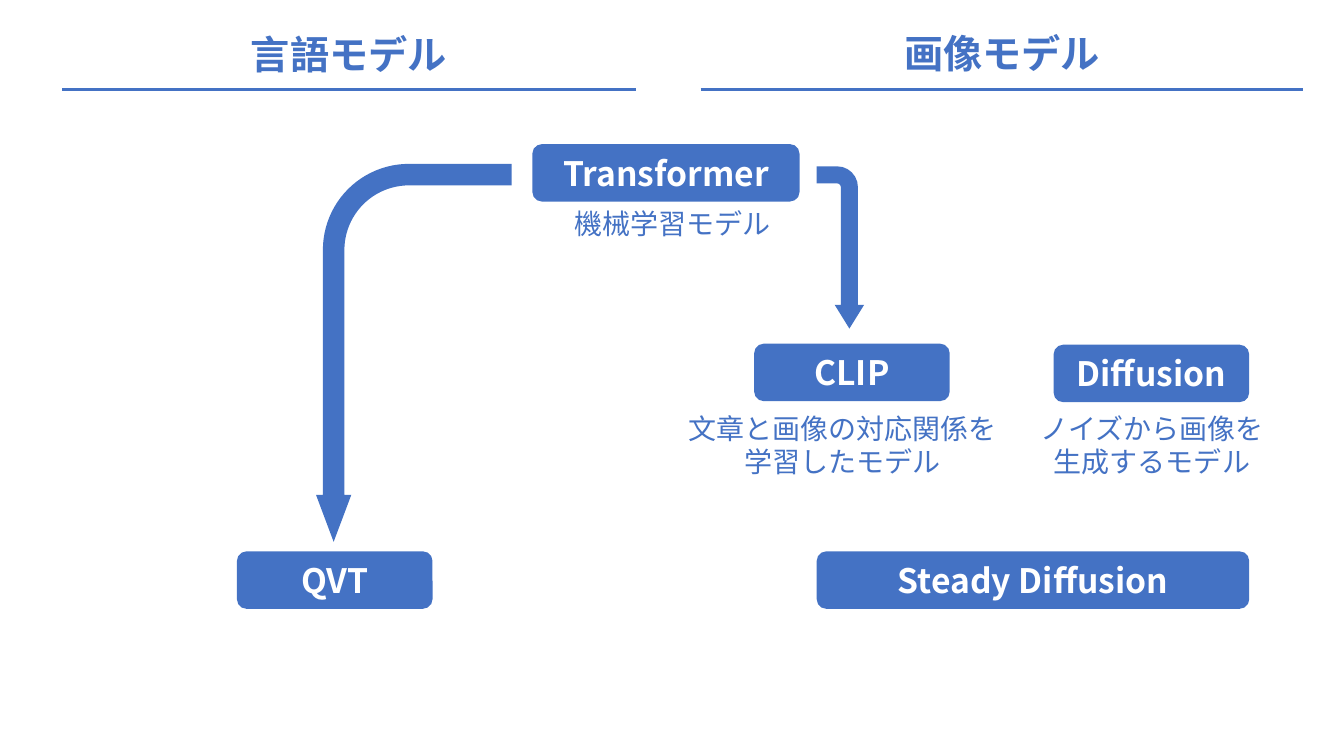
"""Build a slide relating language models and image models."""
from dataclasses import dataclass

from lxml.etree import SubElement
from pptx import Presentation
from pptx.dml.color import RGBColor
from pptx.enum.shapes import MSO_CONNECTOR, MSO_SHAPE
from pptx.enum.text import MSO_ANCHOR, MSO_AUTO_SIZE, PP_ALIGN
from pptx.oxml.ns import qn
from pptx.shapes.autoshape import Shape
from pptx.slide import Slide
from pptx.text.text import TextFrame
from pptx.util import Inches, Pt


@dataclass(frozen=True)
class Theme:
    font: str = "Noto Sans CJK JP"
    blue: RGBColor = RGBColor(0x44, 0x72, 0xC4)
    white: RGBColor = RGBColor(0xFF, 0xFF, 0xFF)
    heading: int = 28
    model: int = 24
    caption: int = 20
    rule: float = 2.25


@dataclass(frozen=True)
class Box:
    left: float
    top: float
    width: float
    height: float


@dataclass(frozen=True)
class Label:
    text: str
    box: Box


@dataclass(frozen=True)
class Rule:
    left: float
    right: float


@dataclass(frozen=True)
class Arrow:
    box: Box
    adjustments: tuple[float, ...]
    flipped: bool


THEME = Theme()
RULE_Y = 0.89
MODEL_H = 0.57
MODEL_W = 1.94

HEADINGS = (
    Label("言語モデル", Box(0.97, 0.25, 4.98, 0.57)),
    Label("画像モデル", Box(7.45, 0.24, 4.98, 0.57)),
)
RULES = (Rule(0.62, 6.31), Rule(6.95, 12.92))
MODELS = (
    Label("Transformer", Box(5.28, 1.43, 2.65, MODEL_H)),
    Label("CLIP", Box(7.48, 3.41, MODEL_W, MODEL_H)),
    Label("Diffusion", Box(10.45, 3.42, MODEL_W, MODEL_H)),
    Label("QVT", Box(2.35, 5.47, MODEL_W, MODEL_H)),
    Label("Steady Diffusion", Box(8.1, 5.47, 4.29, MODEL_H)),
)
CAPTIONS = (
    Label("機械学習モデル", Box(4.18, 2, 4.98, 0.44)),
    Label("文章と画像の対応関係を\n学習したモデル", Box(6.72, 4.03, 3.27, 0.77)),
    Label("ノイズから画像を\n生成するモデル", Box(10.17, 4.03, 2.51, 0.77)),
)
ARROWS = (
    Arrow(Box(2.23, 2.53, 3.75, 1.94), (0.11, 0.09, 0.24, 0.44), True),
    Arrow(Box(7.53, 2.22, 1.61, 0.47), (0.36, 0.31, 0.5, 0.44), False),
)


def place(box: Box) -> tuple[Inches, Inches, Inches, Inches]:
    """Convert a box to slide lengths."""
    return Inches(box.left), Inches(box.top), Inches(box.width), Inches(box.height)


def write(tf: TextFrame, text: str, size: int, color: RGBColor, bold: bool) -> None:
    """Write centred lines, one paragraph each."""
    tf.word_wrap = True
    for i, line in enumerate(text.split("\n")):
        p = tf.add_paragraph() if i else tf.paragraphs[0]
        p.alignment = PP_ALIGN.CENTER
        r = p.add_run()
        r.text = line
        r.font.name = THEME.font
        r.font.size = Pt(size)
        r.font.bold = bold
        r.font.color.rgb = color
        SubElement(r.font._element, qn("a:ea"), typeface=THEME.font)


def add_text(s: Slide, label: Label, size: int, bold: bool) -> None:
    """Add a blue text box."""
    tf = s.shapes.add_textbox(*place(label.box)).text_frame
    write(tf, label.text, size, THEME.blue, bold)
    tf.auto_size = MSO_AUTO_SIZE.SHAPE_TO_FIT_TEXT


def add_solid(s: Slide, kind: MSO_SHAPE, box: Box) -> Shape:
    """Add a flat blue shape without an outline."""
    sp = s.shapes.add_shape(kind, *place(box))
    sp.shadow.inherit = False
    sp.fill.solid()
    sp.fill.fore_color.rgb = THEME.blue
    sp.line.fill.background()
    return sp


def add_model(s: Slide, label: Label) -> None:
    """Add a rounded box naming a model."""
    tf = add_solid(s, MSO_SHAPE.ROUNDED_RECTANGLE, label.box).text_frame
    tf.vertical_anchor = MSO_ANCHOR.MIDDLE
    write(tf, label.text, THEME.model, THEME.white, True)


def add_arrow(s: Slide, arrow: Arrow) -> None:
    """Add a bent arrow pointing down."""
    sp = add_solid(s, MSO_SHAPE.BENT_ARROW, arrow.box)
    sp.rotation = 90
    for i, value in enumerate(arrow.adjustments):
        sp.adjustments[i] = value
    if arrow.flipped:
        sp.element.spPr.get_or_add_xfrm().set("flipV", "1")


def add_rule(s: Slide, rule: Rule) -> None:
    """Add the line under a heading."""
    y = Inches(RULE_Y)
    line = s.shapes.add_connector(
        MSO_CONNECTOR.STRAIGHT, Inches(rule.left), y, Inches(rule.right), y
    )
    line.line.color.rgb = THEME.blue
    line.line.width = Pt(THEME.rule)
    SubElement(line.element.spPr, qn("a:effectLst"))


def main() -> None:
    """Build and save the slide."""
    prs = Presentation()
    prs.slide_width, prs.slide_height = Inches(13.33), Inches(7.5)
    s = prs.slides.add_slide(prs.slide_layouts[6])
    for rule in RULES:
        add_rule(s, rule)
    for heading in HEADINGS:
        add_text(s, heading, THEME.heading, True)
    for arrow in ARROWS:
        add_arrow(s, arrow)
    for model in MODELS:
        add_model(s, model)
    for caption in CAPTIONS:
        add_text(s, caption, THEME.caption, False)
    prs.save("out.pptx")


if __name__ == "__main__":
    main()
